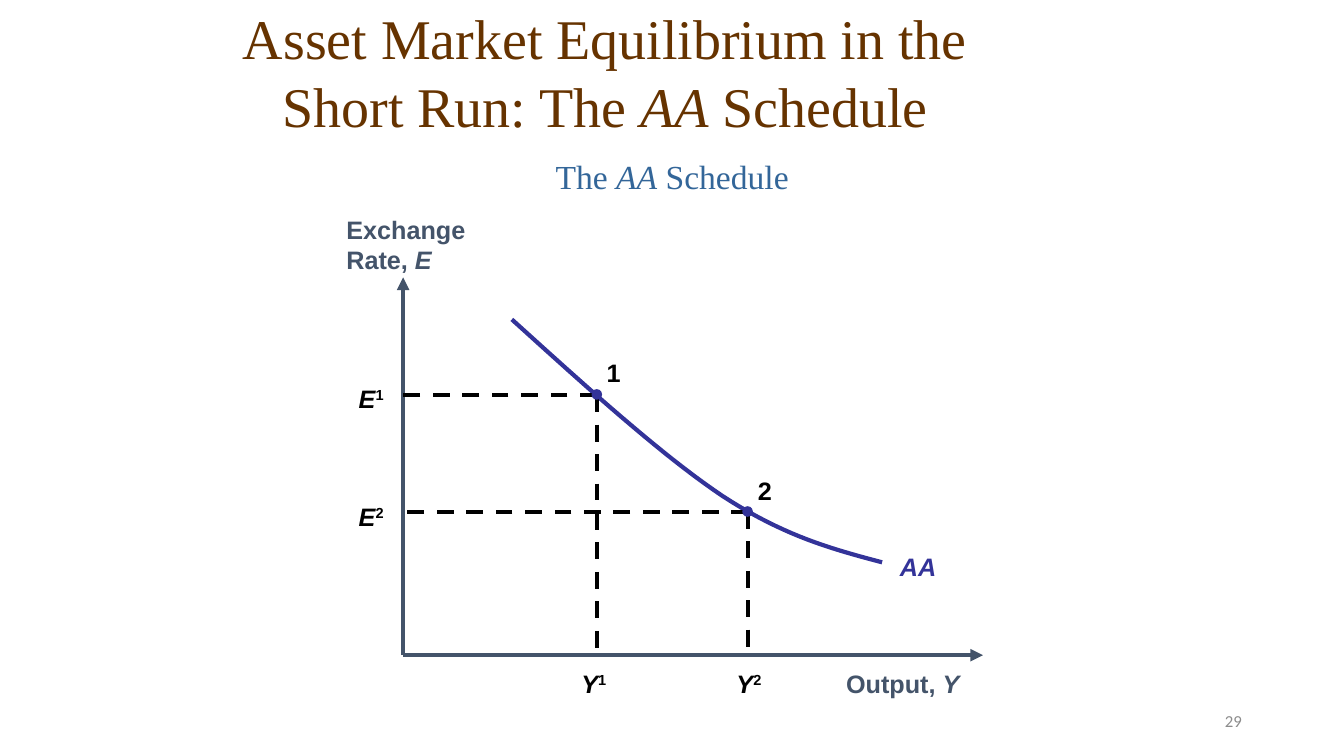
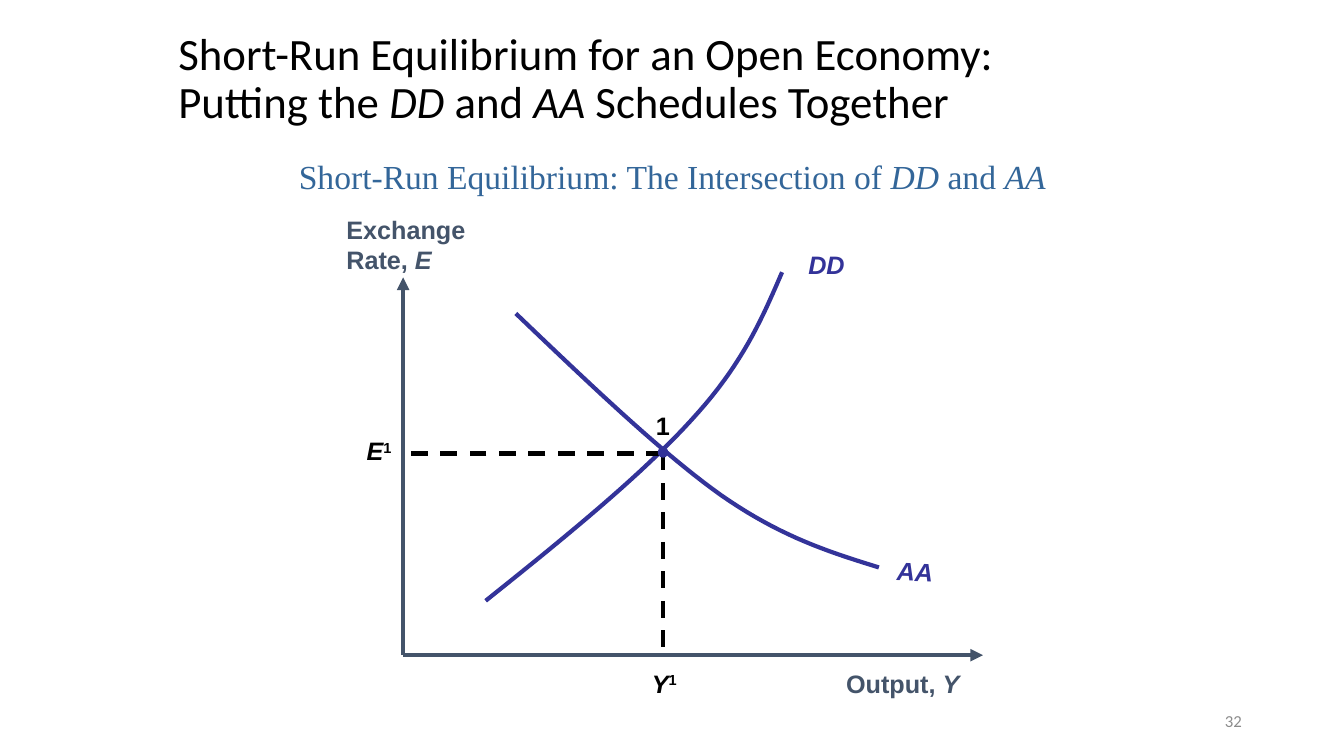
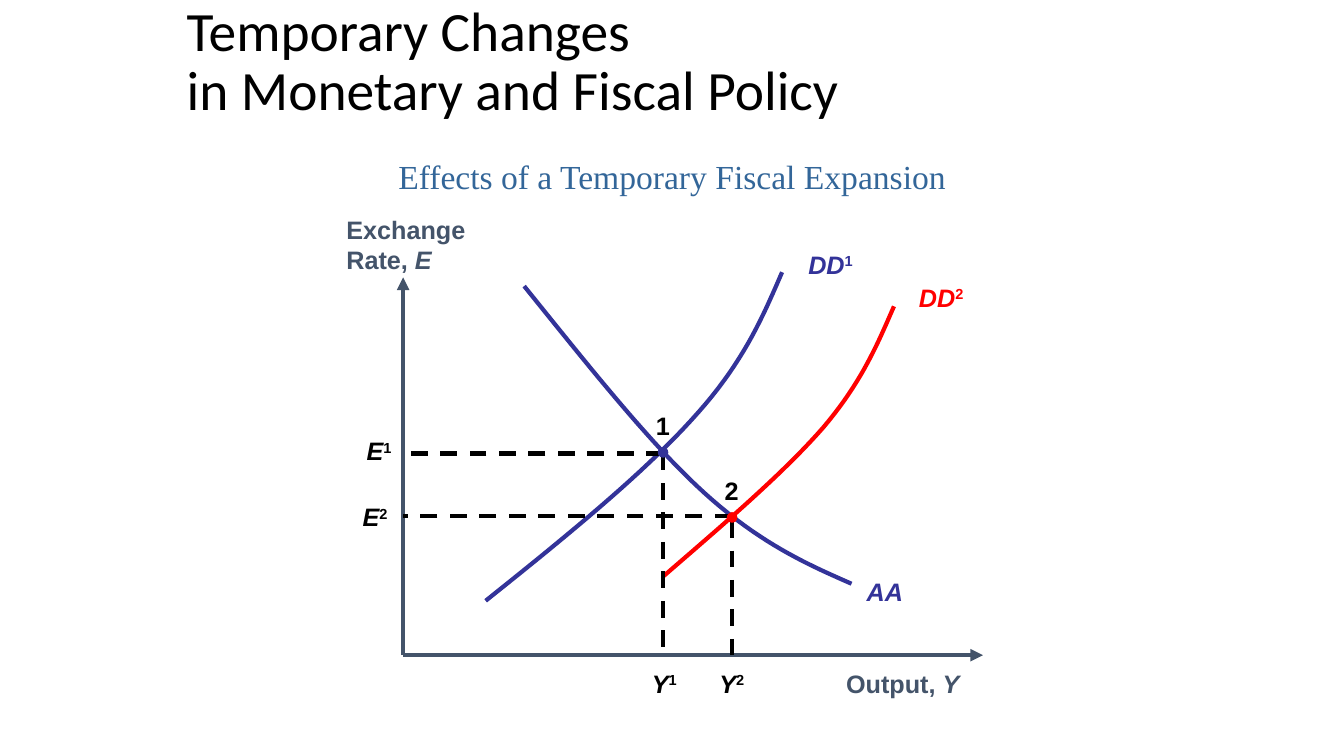
from pptx import Presentation
from pptx.dml.color import RGBColor
from pptx.enum.dml import MSO_LINE_DASH_STYLE as Dash
from pptx.enum.shapes import MSO_CONNECTOR as Connector, MSO_SHAPE as Shape
from pptx.enum.text import MSO_ANCHOR as Anchor, MSO_AUTO_SIZE as AutoSize, PP_ALIGN as Align
from pptx.oxml.ns import qn
from pptx.util import Cm, Pt
from lxml.etree import SubElement

SLATE, INDIGO, RED, BLACK = "44546A", "333399", "FF0000", "000000"
ORIGIN = (10.16, 16.51)
AXIS_ENDS = [(10.16, 6.99), (24.77, 16.51)]
OUTPUT_ROW = 16.71
DOT = 0.24
STEPS = 20
LABEL_HEIGHT = 1.02
LABEL_WIDTHS = {1: 0.86, 2: 1.17, 3: 1.42, 4: 1.65}

FONTS = {
    "label": {"name": "Arial", "size": Pt(18), "bold": True},
    "subtitle": {"name": "Times New Roman", "size": Pt(24)},
    "number": {"name": "Calibri", "size": Pt(12)},
}

DD_CURVE = [(12.24, 15.14), (14.22, 13.56), (16.18, 11.96), (17.42, 10.59),
            (18.69, 9.22), (19.2, 8.05), (19.71, 6.86)]
FIRST_CROSSING = {"name": "1", "at": (16.71, 11.43), "dot": (16.71, 11.4), "color": INDIGO,
                  "name_at": (16.28, 10.21), "rate_at": (8.99, 10.85), "output_x": 16.18}

SLIDES = [
    {
        "title": "Asset Market Equilibrium in the Short Run: The *AA* Schedule",
        "title_box": (4.45, 0.2, 21.59, 3.18),
        "title_font": {"name": "Times New Roman", "size": Pt(40)},
        "title_color": "663300",
        "title_format": {"alignment": Align.CENTER, "line_spacing": 1.0},
        "subtitle": "The *AA* Schedule",
        "number": "29",
        "curves": [
            {"name": "*AA*", "name_at": (22.43, 13.77), "width": 1.42, "color": INDIGO,
             "knots": [(12.9, 8.05), (14.78, 9.75), (16.66, 11.46), (18.21, 12.5),
                       (19.76, 13.51), (20.98, 13.84), (22.23, 14.17)]},
        ],
        "points": [
            {"name": "1", "at": (15.04, 9.96), "dot": (15.04, 9.94), "color": INDIGO,
             "name_at": (15.04, 8.89), "rate_at": (8.79, 9.53), "output_x": 14.4},
            {"name": "2", "at": (18.85, 12.9), "dot": (18.84, 12.89), "color": INDIGO,
             "name_at": (18.85, 11.86), "rate_at": (8.79, 12.5), "output_x": 18.31},
        ],
    },
    {
        "title": "Short-Run Equilibrium for an Open Economy: "
                 "Putting the *DD* and *AA *Schedules Together",
        "title_box": (4.24, 0.43, 21.79, 3.18),
        "title_font": {"name": "Calibri", "size": Pt(32)},
        "title_color": BLACK,
        "title_format": {"alignment": Align.LEFT, "line_spacing": 0.9},
        "subtitle": "Short-Run Equilibrium: The Intersection of *DD* and *AA*",
        "number": "32",
        "curves": [
            {"name": "*AA*", "name_at": (22.35, 13.89), "width": 1.42, "color": INDIGO, "turn": 1.6,
             "knots": [(13, 7.9), (14.83, 9.65), (16.66, 11.4), (18.16, 12.47),
                       (19.69, 13.54), (20.93, 13.92), (22.15, 14.3)]},
            {"name": "*DD*", "name_at": (20.12, 6.15), "width": 1.42, "color": INDIGO,
             "knots": DD_CURVE},
        ],
        "points": [FIRST_CROSSING],
    },
    {
        "title": "Temporary Changes\nin Monetary and Fiscal Policy",
        "title_box": (4.45, 0, 21.59, 3.18),
        "title_font": {"name": "Calibri", "size": Pt(39.6)},
        "title_color": BLACK,
        "title_format": {"alignment": Align.LEFT, "line_spacing": 0.9},
        "subtitle": "Effects of a Temporary Fiscal Expansion",
        "curves": [
            {"name": "*DD*^1", "name_at": (20.12, 6.15), "width": 1.65, "color": INDIGO,
             "knots": DD_CURVE},
            {"name": "*AA*", "name_at": (21.59, 14.4), "width": 1.42, "color": INDIGO,
             "knots": [(13.21, 7.21), (14.81, 9.19), (16.38, 11.18), (17.75, 12.42),
                       (19.13, 13.67), (20.29, 14.2), (21.46, 14.71)]},
            {"name": "*DD*^2", "name_at": (22.91, 6.99), "width": 1.65, "color": RED,
             "knots": [(16.71, 14.53), (18.24, 13.21), (19.76, 11.91), (20.75, 10.77),
                       (21.72, 9.63), (22.12, 8.66), (22.53, 7.72)]},
        ],
        "points": [
            FIRST_CROSSING,
            {"name": "2", "at": (18.44, 13), "dot": (18.45, 13.04), "color": RED, "drop": 13.13,
             "name_at": (18.01, 11.86), "rate_at": (8.89, 12.52), "output_x": 17.88},
        ],
    },
]


def rgb(color):
    return RGBColor.from_string(color)


def assign(target, values):
    for name, value in values.items():
        setattr(target, name, value)


def write(frame, text, font, color, **para_format):
    para = frame.paragraphs[0]
    assign(para, para_format)
    for row, line in enumerate(text.split("\n")):
        if row:
            para.add_line_break()
        for index, piece in enumerate(line.split("*")):
            if not piece:
                continue
            span = para.add_run()
            span.text = piece.lstrip("^")
            assign(span.font, {**font, "italic": index % 2 == 1})
            span.font.color.rgb = rgb(color)
            if piece.startswith("^"):
                span._r.get_or_add_rPr().set("baseline", "30000")


def add_text(page, text, area, style, color, wrap=True, anchor=Anchor.TOP, align=Align.LEFT):
    box = page.shapes.add_textbox(*map(Cm, area))
    assign(box.text_frame, {"word_wrap": wrap, "vertical_anchor": anchor})
    write(box.text_frame, text, FONTS[style], color, alignment=align)
    return box


def add_label(page, text, at, width, color=BLACK):
    return add_text(page, text, (*at, width, LABEL_HEIGHT), "label", color, wrap=False)


def add_line(page, start, end, color, dash=None, arrow=False):
    line = page.shapes.add_connector(Connector.STRAIGHT, *map(Cm, (*start, *end)))
    line.line.color.rgb = rgb(color)
    assign(line.line, {"width": Pt(3), "dash_style": dash})
    if arrow:
        SubElement(line.line._get_or_add_ln(), qn("a:tailEnd"), type="triangle")
    SubElement(line._element.spPr, qn("a:effectLst"))


def bezier(knots):
    for first in range(0, len(knots) - 1, 3):
        a, b, c, d = knots[first:first + 4]
        for step in range(1, STEPS + 1):
            t = step / STEPS
            weights = ((1 - t) ** 3, 3 * t * (1 - t) ** 2, 3 * t * t * (1 - t), t ** 3)
            yield tuple(Cm(sum(w * p[axis] for w, p in zip(weights, (a, b, c, d))))
                        for axis in (0, 1))


def add_curve(page, curve):
    builder = page.shapes.build_freeform(*map(Cm, curve["knots"][0]))
    builder.add_line_segments(list(bezier(curve["knots"])), close=False)
    shape = builder.convert_to_shape()
    shape.shadow.inherit = False
    shape.fill.background()
    shape.line.color.rgb = rgb(curve["color"])
    shape.line.width = Pt(3)
    label = add_label(page, curve["name"], curve["name_at"], curve["width"], curve["color"])
    label.rotation = curve.get("turn", 0)


def add_point(page, point):
    x, y = point["at"]
    add_line(page, (x, y), (ORIGIN[0], y), BLACK, Dash.DASH)
    add_line(page, (x, point.get("drop", y)), (x, ORIGIN[1]), BLACK, Dash.DASH)
    left, top = (centre - DOT / 2 for centre in point["dot"])
    dot = page.shapes.add_shape(Shape.OVAL, *map(Cm, (left, top, DOT, DOT)))
    dot.shadow.inherit = False
    dot.fill.solid()
    dot.fill.fore_color.rgb = dot.line.color.rgb = rgb(point["color"])
    dot.line.width = Pt(0.75)
    name = point["name"]
    add_label(page, name, point["name_at"], LABEL_WIDTHS[1])
    add_label(page, f"*E*^{name}", point["rate_at"], LABEL_WIDTHS[2])
    add_label(page, f"*Y*^{name}", (point["output_x"], OUTPUT_ROW), LABEL_WIDTHS[2])


def add_axes(page):
    for end in AXIS_ENDS:
        add_line(page, ORIGIN, end, SLATE, arrow=True)
    add_text(page, "Exchange\nRate, *E*", (8.48, 5.28, 4, 1.78), "label", SLATE)
    add_text(page, "Output, *Y*", (20.43, OUTPUT_ROW, 4, LABEL_HEIGHT), "label", SLATE,
             align=Align.RIGHT)


def add_title(page, content):
    title = page.shapes.title
    assign(title, dict(zip(("left", "top", "width", "height"), map(Cm, content["title_box"]))))
    assign(title.text_frame, {"word_wrap": True, "auto_size": AutoSize.NONE,
                              "vertical_anchor": Anchor.MIDDLE})
    write(title.text_frame, content["title"], content["title_font"], content["title_color"],
          **content["title_format"])


def main():
    deck = Presentation()
    assign(deck, {"slide_width": Cm(33.87), "slide_height": Cm(19.05)})
    for content in SLIDES:
        page = deck.slides.add_slide(deck.slide_layouts[5])
        add_title(page, content)
        add_text(page, content["subtitle"], (4.24, 3.61, 25.4, 1.47), "subtitle", "336699",
                 anchor=Anchor.BOTTOM, align=Align.CENTER)
        add_axes(page)
        for curve in content["curves"]:
            add_curve(page, curve)
        for point in content["points"]:
            add_point(page, point)
        if "number" in content:
            add_text(page, content["number"], (23.93, 17.65, 7.62, 1.02), "number", "8C8C8C",
                     anchor=Anchor.MIDDLE, align=Align.RIGHT)
    deck.save("out.pptx")


if __name__ == "__main__":
    main()
